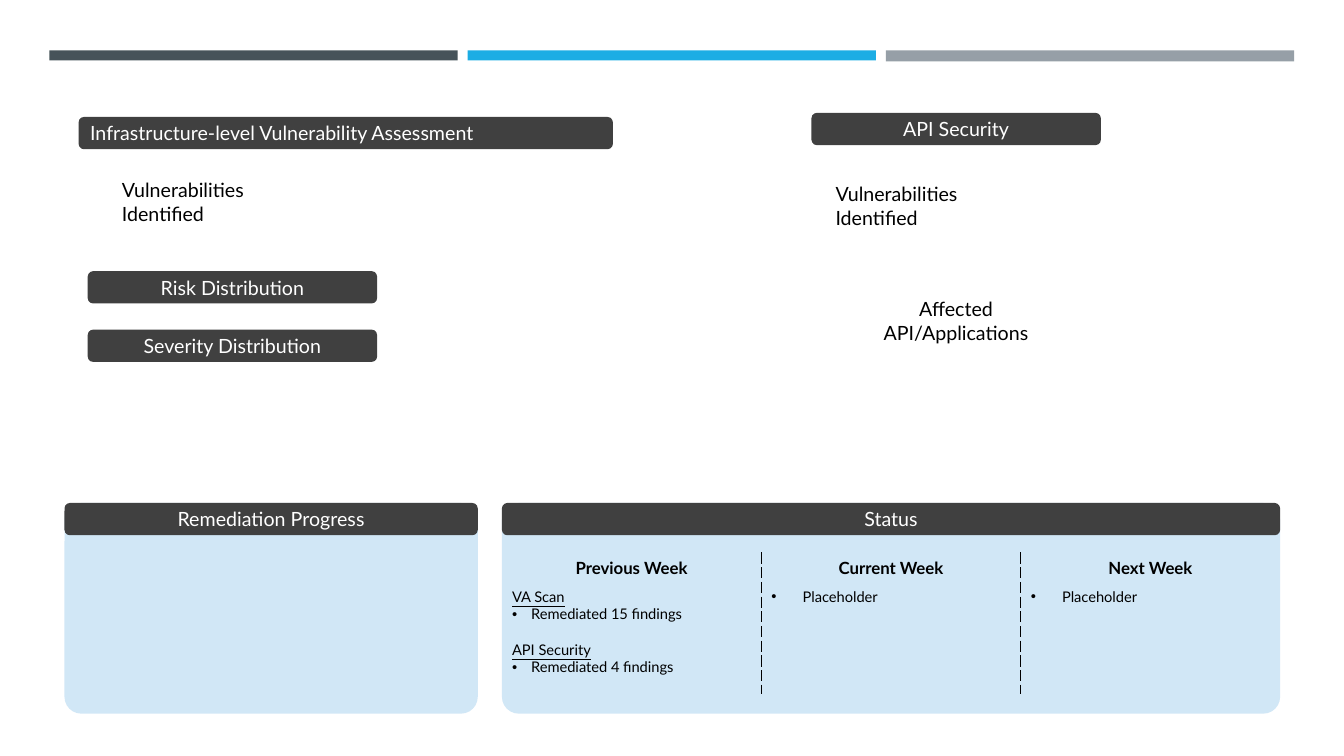
from dataclasses import dataclass

import lxml.etree
import pptx
import pptx.dml.color
import pptx.enum.shapes
import pptx.enum.text
import pptx.oxml.ns
import pptx.util

FONT = "Lato"
BLACK, WHITE, CHARCOAL, PALE_BLUE = "000000", "FFFFFF", "404040", "D1E7F6"
RECTANGLE = pptx.enum.shapes.MSO_SHAPE.RECTANGLE
ROUNDED = pptx.enum.shapes.MSO_SHAPE.ROUNDED_RECTANGLE
LEFT = pptx.enum.text.PP_ALIGN.LEFT
CENTER = pptx.enum.text.PP_ALIGN.CENTER

# The slide is a grid of 100 columns by 100 rows
SLIDE_WIDTH = pptx.util.Inches(13.33)
SLIDE_HEIGHT = pptx.util.Inches(7.5)
HEADING_ROWS = 4.27
PANEL_TOP, PANEL_ROWS = 66.53, 27.87


@dataclass
class Box:
    column: float
    row: float
    columns: float
    rows: float


@dataclass
class Label:
    text: str
    box: Box
    align: int = CENTER


@dataclass
class Line:
    text: str
    indent: float = 0  # inches; an indented line has a bullet
    space_before: float = 0
    underline: bool = False


@dataclass
class Week:
    title: str
    lines: list[Line]


def heading(text, column, row, columns, align=CENTER) -> Label:
    return Label(text, Box(column, row, columns, HEADING_ROWS), align)


TOP_BARS = [("465359", 1.33), ("1CADE4", 1.33), ("969FA7", 1.47)]
PANELS = [
    heading("Remediation Progress", 4.8, PANEL_TOP, 30.75),
    heading("Status", 37.35, PANEL_TOP, 57.9),
]
HEADINGS = [
    heading("Infrastructure-level Vulnerability Assessment", 5.85, 15.47, 39.75, LEFT),
    heading("Risk Distribution", 6.53, 35.87, 21.53),
    heading("Severity Distribution", 6.53, 43.6, 21.53),
    heading("API Security", 60.38, 14.93, 21.53),
]
NOTES = [
    Label("Vulnerabilities Identified", Box(8.33, 22.93, 16.5, 7.6), LEFT),
    Label("Vulnerabilities Identified", Box(61.43, 23.47, 16.5, 7.6), LEFT),
    Label("Affected API/Applications", Box(62.55, 38.67, 17.18, 7.6)),
]
WEEKS = [
    Week("Previous Week", [
        Line("VA Scan", underline=True),
        Line("Remediated 15 findings", indent=0.19),
        Line("API Security", space_before=12.6, underline=True),
        Line("Remediated 4 findings", indent=0.19),
    ]),
    Week("Current Week", [Line("Placeholder", indent=0.31)]),
    Week("Next Week", [Line("Placeholder", indent=0.31)]),
]
WEEK_TABLE = Box(37.35, 73.07, 57.9, 18.67)
WEEK_ROWS = [4, 14.67]


def color(value: str) -> pptx.dml.color.RGBColor:
    return pptx.dml.color.RGBColor.from_string(value)


def across(columns: float) -> int:
    return round(SLIDE_WIDTH * columns / 100)


def down(rows: float) -> int:
    return round(SLIDE_HEIGHT * rows / 100)


def place(box: Box) -> tuple[int, int, int, int]:
    return across(box.column), down(box.row), across(box.columns), down(box.rows)


def add_run(paragraph, text: str, size: float, ink: str = BLACK,
            bold: bool = False, underline: bool = False) -> None:
    run = paragraph.add_run()
    run.text = text
    run.font.name = FONT
    run.font.size = pptx.util.Pt(size)
    run.font.bold = bold
    run.font.underline = underline
    run.font.color.rgb = color(ink)


def add_block(slide, kind: int, box: Box, fill: str):
    shape = slide.shapes.add_shape(kind, *place(box))
    shape.shadow.inherit = False
    shape.fill.solid()
    shape.fill.fore_color.rgb = color(fill)
    shape.line.fill.background()
    return shape


def write_label(shape, label: Label, ink: str) -> None:
    shape.text_frame.word_wrap = True
    paragraph = shape.text_frame.paragraphs[0]
    paragraph.alignment = label.align
    add_run(paragraph, label.text, 14, ink)


def add_heading(slide, label: Label) -> None:
    shape = add_block(slide, ROUNDED, label.box, CHARCOAL)
    shape.text_frame.vertical_anchor = pptx.enum.text.MSO_ANCHOR.MIDDLE
    write_label(shape, label, WHITE)


def add_child(parent, tag: str, **attributes: str):
    return lxml.etree.SubElement(parent, pptx.oxml.ns.qn(tag), attributes)


def style_cell(cell, dashed_sides: str) -> None:
    properties = cell._tc.get_or_add_tcPr()
    for side in "LRTB":
        border = add_child(properties, f"a:ln{side}", w=str(pptx.util.Pt(0.75)))
        if side in dashed_sides:
            fill = add_child(border, "a:solidFill")
            add_child(fill, "a:srgbClr", val=BLACK)
            add_child(border, "a:prstDash", val="sysDash")
        else:
            add_child(border, "a:noFill")
    cell.fill.background()


def write_line(paragraph, line: Line) -> None:
    paragraph.space_before = pptx.util.Pt(line.space_before)
    if line.indent:
        indent = pptx.util.Inches(line.indent)
        properties = paragraph._p.get_or_add_pPr()
        properties.set("marL", str(indent))
        properties.set("indent", str(-indent))
        add_child(properties, "a:buFont", typeface="Arial")
        add_child(properties, "a:buChar", char="•")
    add_run(paragraph, line.text, 10.5, underline=line.underline)


def add_week_table(slide) -> None:
    frame = slide.shapes.add_table(len(WEEK_ROWS), len(WEEKS), *place(WEEK_TABLE))
    table = frame.table
    table.first_row = table.horz_banding = False
    for row, rows in zip(table.rows, WEEK_ROWS):
        row.height = down(rows)
    for index, week in enumerate(WEEKS):
        sides = ("L" if index > 0 else "") + ("R" if index < len(WEEKS) - 1 else "")
        title_cell, body_cell = table.cell(0, index), table.cell(1, index)
        style_cell(title_cell, sides)
        style_cell(body_cell, sides)
        title = title_cell.text_frame.paragraphs[0]
        title.alignment = CENTER
        add_run(title, week.title, 12, bold=True)
        body = body_cell.text_frame
        for number, line in enumerate(week.lines):
            write_line(body.add_paragraph() if number else body.paragraphs[0], line)


def main() -> None:
    presentation = pptx.Presentation()
    presentation.slide_width = SLIDE_WIDTH
    presentation.slide_height = SLIDE_HEIGHT
    slide = presentation.slides.add_slide(presentation.slide_layouts[6])

    # Bars along the top
    for index, (fill, rows) in enumerate(TOP_BARS):
        add_block(slide, RECTANGLE, Box(3.68 + 31.12 * index, 6.67, 30.38, rows), fill)

    # Panels along the bottom, and the weeks inside the status panel
    for panel in PANELS:
        box = Box(panel.box.column, PANEL_TOP, panel.box.columns, PANEL_ROWS)
        add_block(slide, ROUNDED, box, PALE_BLUE).adjustments[0] = 0.08
    add_week_table(slide)

    # Headings and notes
    for label in PANELS + HEADINGS:
        add_heading(slide, label)
    for label in NOTES:
        write_label(slide.shapes.add_textbox(*place(label.box)), label, BLACK)

    presentation.save("out.pptx")


if __name__ == "__main__":
    main()
